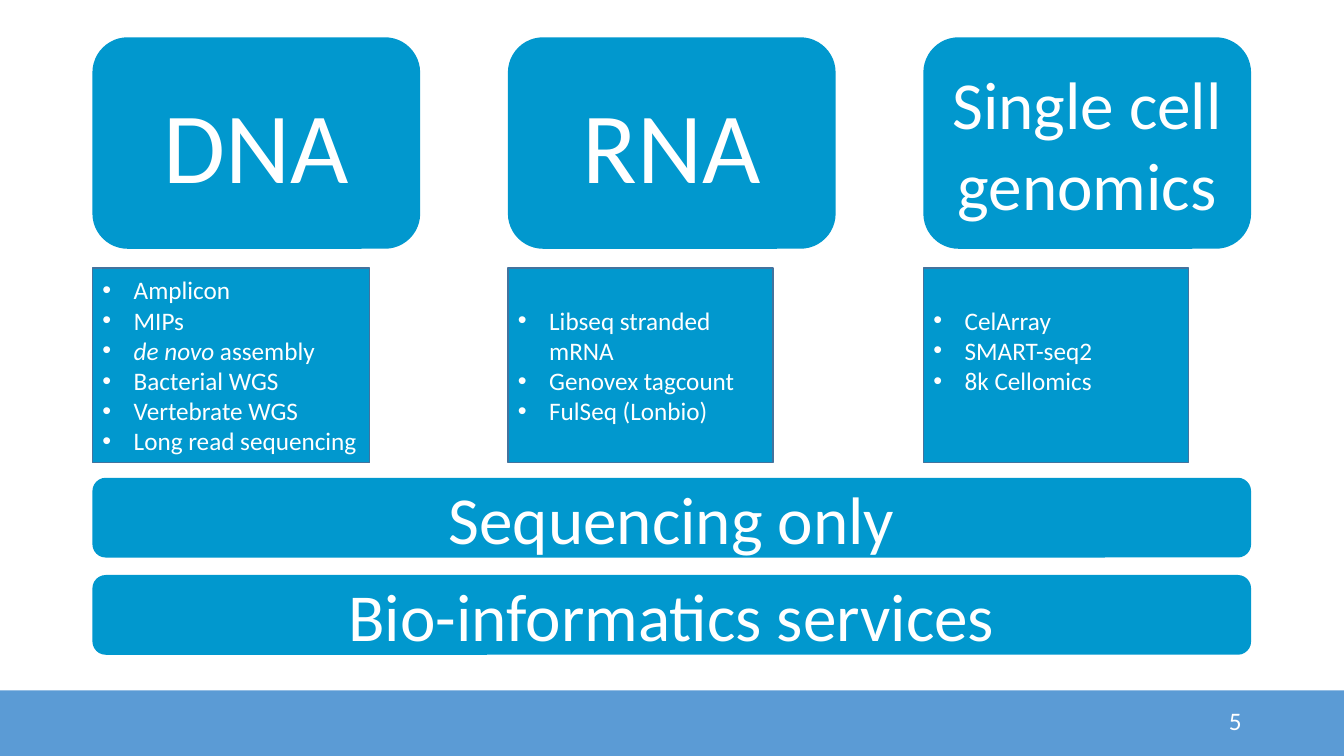
from lxml.etree import SubElement
from pptx import Presentation
from pptx.dml.color import RGBColor as RGB
from pptx.enum.shapes import MSO_SHAPE as SHAPE
from pptx.enum.text import MSO_ANCHOR as ANCHOR, MSO_AUTO_SIZE as AUTO, PP_ALIGN as ALIGN
from pptx.oxml.ns import qn
from pptx.util import Cm, Pt

COLORS = {"box": "0198CE", "edge": "43739E", "band": "5B9BD5", "text": "FFFFFF"}
FONT = "Calibri"
LEFT, STEP = 2.33, 10.47
COMPARISON_LAYOUT = 4  # the layout with four body placeholders


def color(name):
    return RGB.from_string(COLORS[name])


def write(tf, lines, size=18, align=ALIGN.LEFT, bullet=False):
    """Fill a text frame; each line is a list of (text, italic) runs or a string."""
    tf.word_wrap = True
    tf.auto_size = AUTO.NONE
    tf.vertical_anchor = ANCHOR.MIDDLE
    tf.margin_left = tf.margin_right = Cm(0.25)
    tf.margin_top = tf.margin_bottom = Cm(0.13)
    for i, line in enumerate(lines):
        p = tf.add_paragraph() if i else tf.paragraphs[0]
        p.alignment = align
        p.space_before = Pt(0)
        if bullet:
            pPr = p._p.get_or_add_pPr()
            pPr.set("marL", str(Cm(0.79)))
            pPr.set("indent", str(-Cm(0.79)))
            SubElement(pPr, qn("a:buFont"), typeface="Arial")
            SubElement(pPr, qn("a:buChar"), char="•")
        for text, italic in [(line, False)] if isinstance(line, str) else line:
            r = p.add_run()
            r.text = text
            r.font.name, r.font.size = FONT, Pt(size)
            r.font.bold, r.font.italic = False, italic
            r.font.color.rgb = color("text")


class Deck:
    def __init__(self):
        self.prs = Presentation()
        self.prs.slide_width, self.prs.slide_height = Cm(33.87), Cm(19.05)
        self.s = self.prs.slides.add_slide(self.prs.slide_layouts[COMPARISON_LAYOUT])
        title, *self.bodies = self.s.placeholders
        self.remove(title)

    def remove(self, sp):
        sp._element.getparent().remove(sp._element)

    def box(self, kind, x, y, w, h, fill="box", text=None, size=48):
        sp = self.s.shapes.add_shape(kind, Cm(x), Cm(y), Cm(w), Cm(h))
        sp.shadow.inherit = False
        sp.fill.solid()
        sp.fill.fore_color.rgb = color(fill)
        sp.line.fill.background()
        if text:
            write(sp.text_frame, [text], size=size, align=ALIGN.CENTER)

    def bullets(self, x, y, w, h, items, lift=0):
        sp = self.bodies.pop(0)
        sp.left, sp.top, sp.width, sp.height = Cm(x), Cm(y), Cm(w), Cm(h)
        sp.fill.solid()
        sp.fill.fore_color.rgb = color("box")
        sp.line.color.rgb = color("edge")
        sp.line.width = Pt(1)
        write(sp.text_frame, items, bullet=True)
        sp.text_frame.margin_bottom = Cm(0.13 + lift)

    def label(self, x, y, w, h, text):
        sp = self.s.shapes.add_textbox(Cm(x), Cm(y), Cm(w), Cm(h))
        write(sp.text_frame, [text], align=ALIGN.RIGHT)

    def save(self):
        for sp in self.bodies:
            self.remove(sp)
        self.prs.save("out.pptx")


def main():
    deck = Deck()

    # Footer band and page number
    deck.box(SHAPE.RECTANGLE, 0, 17.4, 33.87, 1.65, fill="band")
    deck.label(23.92, 17.66, 7.62, 1.01, "5")

    # Service columns: heading, text size, list width, lift of the list, items
    columns = [
        ("DNA", 72, 6.99, 0,
         ["Amplicon", "MIPs", [("de novo ", True), ("assembly", False)],
          "Bacterial WGS", "Vertebrate WGS", "Long read sequencing"]),
        ("RNA", 72, 6.68, 0,
         ["Libseq stranded mRNA", "Genovex tagcount", "FulSeq (Lonbio)"]),
        ("Single cell genomics", 48, 6.68, 0.76,
         ["CelArray", "SMART-seq2", "8k Cellomics"]),
    ]
    for i, (heading, size, width, lift, items) in enumerate(columns):
        x = LEFT + i * STEP
        deck.box(SHAPE.ROUNDED_RECTANGLE, x, 0.94, 8.26, 5.33, text=heading, size=size)
        deck.bullets(x, 6.75, width, 4.91, items, lift)

    # Full-width services
    for i, service in enumerate(["Sequencing only", "Bio-informatics services"]):
        deck.box(SHAPE.ROUNDED_RECTANGLE, LEFT, 12.04 + i * 2.45, 29.2, 2.01, text=service)

    deck.save()


if __name__ == "__main__":
    main()
